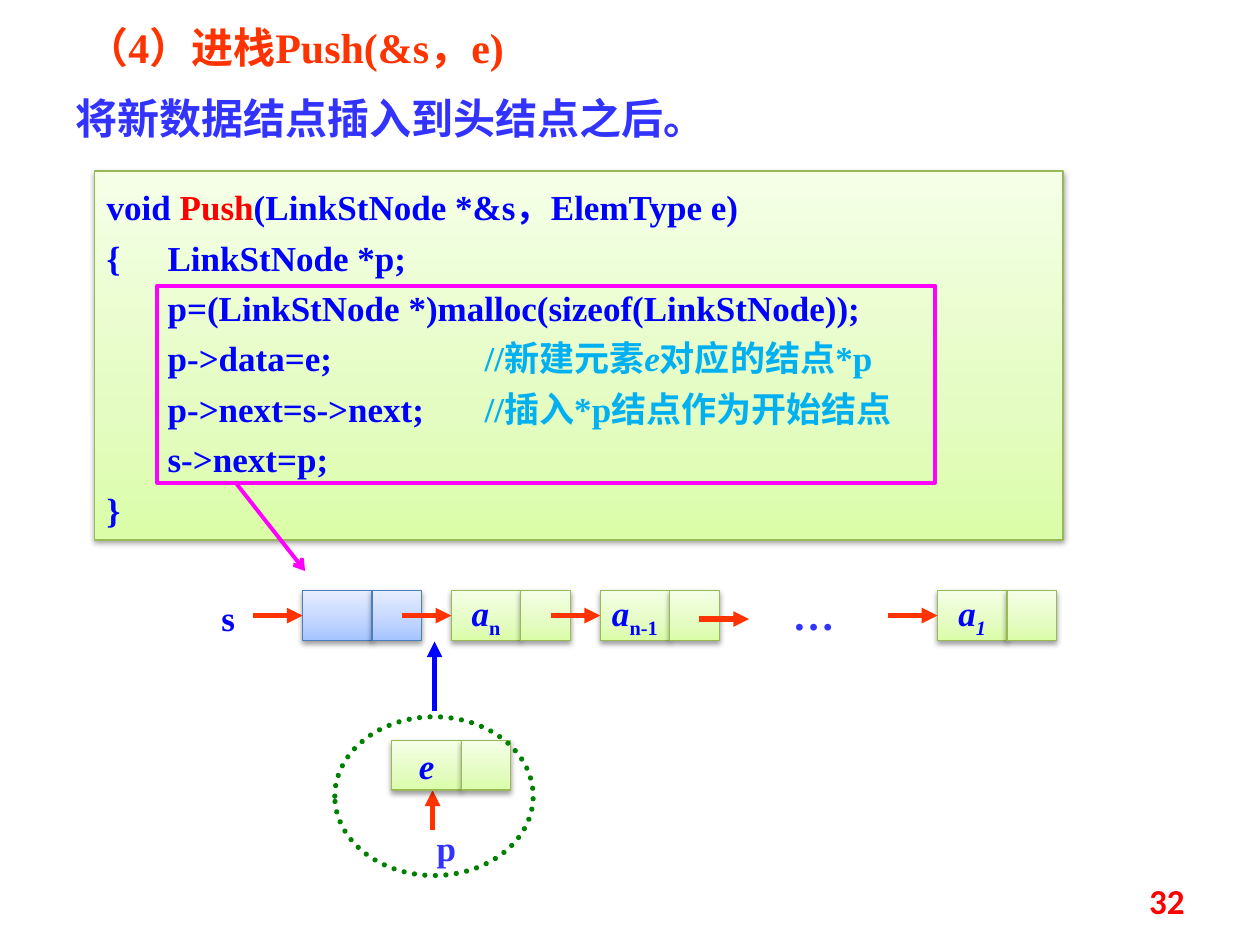
from pptx import Presentation
from pptx import util as u
from pptx.dml.color import RGBColor
from pptx.enum import dml, shapes, text
from pptx.oxml import parse_xml
from pptx.oxml.ns import nsdecls, qn

RED_ORANGE = RGBColor(0xFF, 0x33, 0x00)
RED = RGBColor(0xFF, 0x00, 0x00)
BLUE = RGBColor(0x00, 0x00, 0xFF)
SOFT_BLUE = RGBColor(0x33, 0x33, 0xFF)
SKY = RGBColor(0x00, 0xB0, 0xF0)
MAGENTA = RGBColor(0xFF, 0x00, 0xFF)
DARK_GREEN = RGBColor(0x00, 0x80, 0x00)
GREEN_EDGE = RGBColor(0x98, 0xB9, 0x55)
BLUE_EDGE = RGBColor(0x4B, 0x7E, 0xBC)

# Edge colour, then the gradient colours at 0, 35 and 100 percent
GREEN_LOOK = (GREEN_EDGE, ("DAFDA7", "E4FCC2", "F5FFE7"))
BLUE_LOOK = (BLUE_EDGE, ("A4C4FF", "BFD4FF", "E6EEFF"))

# Content: a line is a list of (text, style) spans
COMMENT = {"color": SKY}
CODE = [
    [("void ", {}), ("Push", {"color": RED}), ("(LinkStNode *&s，ElemType e)", {})],
    [("{\tLinkStNode *p;", {})],
    [("\tp=(LinkStNode *)malloc(sizeof(LinkStNode));", {})],
    [("\tp->data=e;\t", {}), ("//新建元素", COMMENT),
     ("e", {"color": SKY, "italic": True}), ("对应的结点*p", COMMENT)],
    [("\tp->next=s->next;\t", {}), ("//插入*p结点作为开始结点", COMMENT)],
    [("\ts->next=p;", {})],
    [("}", {})],
]
CODE_TABS = (1.23, 7.62)
ITALIC = {"italic": True}
SUB = {"baseline": -25000}
SUB_ITALIC = {"baseline": -25000, "italic": True}

# List nodes in cm: left, top, label, look
ROW_TOP, ROW_LEFT, PITCH = 11.91, 6.1, 3.0
DATA_W, LINK_W, NODE_H, ARROW = 1.4, 1.0, 1.0, 1.0
CHAIN = [
    (ROW_LEFT, [], BLUE_LOOK),
    (ROW_LEFT + PITCH, [("a", ITALIC), ("n", SUB)], GREEN_LOOK),
    (ROW_LEFT + 2 * PITCH, [("a", ITALIC), ("n-1", SUB)], GREEN_LOOK),
    (18.9, [("a", ITALIC), ("1", SUB_ITALIC)], GREEN_LOOK),
]

deck = Presentation()
deck.slide_width, deck.slide_height = u.Cm(25.4), u.Cm(19.05)
page = deck.slides.add_slide(deck.slide_layouts[6])


def cm(*lengths):
    return [u.Cm(length) for length in lengths]


def write(para, spans, size, color, font="Times New Roman"):
    para.font.name, para.font.size, para.font.bold = font, u.Pt(size), True
    para.font.color.rgb = color
    for words, style in spans:
        span = para.add_run()
        span.text = words
        if "color" in style:
            span.font.color.rgb = style["color"]
        if "italic" in style:
            span.font.italic = True
        if "baseline" in style:
            span._r.get_or_add_rPr().set("baseline", str(style["baseline"]))


def add_label(place, words, size, color, align=text.PP_ALIGN.CENTER, **font):
    box = page.shapes.add_textbox(*cm(*place))
    box.text_frame.word_wrap = True
    para = box.text_frame.paragraphs[0]
    para.alignment = align
    write(para, [(words, {})], size, color, **font)
    return box


def add_panel(place, look):
    """Rectangle with a vertical gradient and a soft shadow below."""
    edge, colors = look
    panel = page.shapes.add_shape(shapes.MSO_SHAPE.RECTANGLE, *cm(*place))
    panel.line.color.rgb, panel.line.width = edge, u.Pt(0.75)
    panel.fill.gradient()
    stops = "".join(f'<a:gs pos="{pos}"><a:srgbClr val="{color}"/></a:gs>'
                    for pos, color in zip((0, 35000, 100000), colors))
    props = panel._element.spPr
    props.replace(props.find(qn("a:gradFill")), parse_xml(
        f'<a:gradFill {nsdecls("a")} rotWithShape="1"><a:gsLst>{stops}</a:gsLst>'
        '<a:lin ang="16200000" scaled="0"/></a:gradFill>'))
    panel.shadow.inherit = False
    props.find(qn("a:effectLst")).append(parse_xml(
        f'<a:outerShdw {nsdecls("a")} blurRad="40000" dist="20000" dir="5400000" '
        'rotWithShape="0"><a:srgbClr val="000000"><a:alpha val="38000"/>'
        '</a:srgbClr></a:outerShdw>'))
    return panel


def add_outline(kind, place, color, width):
    outline = page.shapes.add_shape(kind, *cm(*place))
    outline.fill.background()
    outline.line.color.rgb, outline.line.width = color, u.Pt(width)
    outline.shadow.inherit = False
    return outline


def add_arrow(ends, color, width=3, head="triangle"):
    arrow = page.shapes.add_connector(shapes.MSO_CONNECTOR.STRAIGHT, *cm(*ends))
    arrow.line.color.rgb, arrow.line.width = color, u.Pt(width)
    props = arrow._element.spPr
    props.find(qn("a:ln")).append(parse_xml(f'<a:tailEnd {nsdecls("a")} type="{head}"/>'))
    props.append(parse_xml(f'<a:effectLst {nsdecls("a")}/>'))
    return arrow


def add_node(left, top, label, look):
    data = add_panel((left, top, DATA_W, NODE_H), look)
    frame = data.text_frame
    frame.word_wrap = False
    frame.vertical_anchor = text.MSO_ANCHOR.MIDDLE
    if label:
        frame.paragraphs[0].alignment = text.PP_ALIGN.CENTER
        write(frame.paragraphs[0], label, 20, BLUE)
    add_panel((left + DATA_W, top, LINK_W, NODE_H), look)
    return data


# Heading
heading = add_label((0.43, 0.51, 24.56, 2.62), "（4）进栈Push(&s，e)", 24, RED_ORANGE,
                    text.PP_ALIGN.JUSTIFY).text_frame
subtitle = heading.add_paragraph()
subtitle.alignment = text.PP_ALIGN.JUSTIFY
write(subtitle, [("将新数据结点插入到头结点之后。", {})], 24, SOFT_BLUE)
heading.paragraphs[0].line_spacing = 0.8
for para, indent in zip(heading.paragraphs, (1.06, 0.85)):
    para.space_before = u.Pt(12)
    para._p.get_or_add_pPr().set("marL", str(u.Cm(indent)))

# Code listing
code = add_panel((1.9, 3.45, 19.53, 7.44), GREEN_LOOK).text_frame
code.word_wrap = True
code.vertical_anchor = text.MSO_ANCHOR.TOP
tabs = "".join(f'<a:tab pos="{u.Cm(stop)}" algn="l"/>' for stop in CODE_TABS)
for index, spans in enumerate(CODE):
    para = code.add_paragraph() if index else code.paragraphs[0]
    para.alignment = text.PP_ALIGN.LEFT
    para.line_spacing = 1.2
    para._p.get_or_add_pPr().append(
        parse_xml(f'<a:tabLst {nsdecls("a")}>{tabs}</a:tabLst>'))
    write(para, spans, 20, BLUE)

# Linked stack: nodes first, then the arrows that lead into them
data_cells = [add_node(left, ROW_TOP, label, look) for left, label, look in CHAIN]
row_middle = ROW_TOP + NODE_H / 2
for (left, _, _), cell in zip(CHAIN, data_cells):
    arrow = add_arrow((left - ARROW, row_middle, left, row_middle), RED_ORANGE)
    arrow.end_connect(cell, 1)
add_arrow((14.1, 12.48, 15.1, 12.48), RED_ORANGE)
add_label((4.1, ROW_TOP, 1.0, 1.1), "s", 20, BLUE)
add_label((15.7, 11.73, 1.4, 1.27), "…", 24, SOFT_BLUE)

# New node and its way into the list
add_arrow((8.72, 16.74, 8.72, 15.93), RED_ORANGE)
add_label((8.1, 16.54, 1.8, 1.1), "p", 20, SOFT_BLUE)
add_node(7.9, 14.93, [("e", ITALIC)], GREEN_LOOK)
ring = add_outline(shapes.MSO_SHAPE.OVAL, (6.75, 14.45, 4.0, 3.2), DARK_GREEN, 3)
ring.line.dash_style = dml.MSO_LINE.ROUND_DOT
ring._element.spPr.find(qn("a:ln")).set("cap", "rnd")
add_arrow((8.76, 14.33, 8.76, 12.93), BLUE)

# Frame around the insertion steps
add_outline(shapes.MSO_SHAPE.RECTANGLE, (3.17, 5.76, 15.68, 3.97), MAGENTA, 2.25)
add_arrow((4.75, 9.73, 6.15, 11.51), MAGENTA, 2.25, "arrow")

# Page number
number = add_label((18.2, 17.65, 5.93, 1.01), "32", 20, RED, text.PP_ALIGN.RIGHT,
                   font="Calibri")
number.text_frame.vertical_anchor = text.MSO_ANCHOR.MIDDLE

deck.save("out.pptx")
